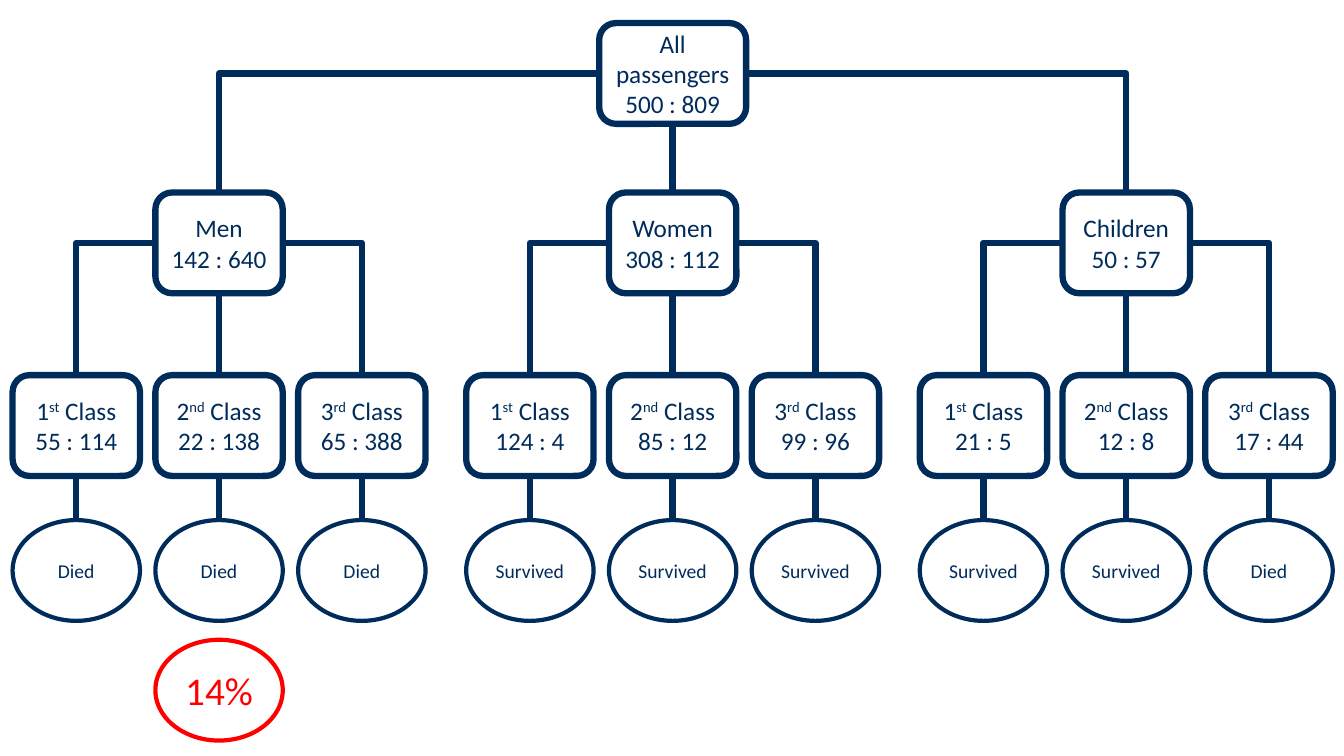
from lxml.etree import SubElement
from pptx import Presentation
from pptx.dml.color import RGBColor
from pptx.enum.shapes import MSO_CONNECTOR, MSO_SHAPE
from pptx.enum.text import MSO_ANCHOR, PP_ALIGN
from pptx.oxml.ns import qn
from pptx.util import Pt

NAVY, RED, WHITE = "002C5C", "FF0000", "FFFFFF"
TOP, LEFT, BOTTOM, RIGHT = range(4)  # connection sites

NODE_W, NODE_H, ROOT_W = 91, 72, 105
GROUP_X, GROUP_STEP, CLASS_STEP = 111, 324, 102
ROOT_Y, GROUP_Y, CLASS_Y, OUTCOME_Y, RATE_Y = 16.5, 137.5, 268, 371.5, 457

CLASSES = [("1", "st"), ("2", "nd"), ("3", "rd")]
GROUPS = [
    ("Men", "142 : 640",
     [("55 : 114", "Died"), ("22 : 138", "Died"), ("65 : 388", "Died")]),
    ("Women", "308 : 112",
     [("124 : 4", "Survived"), ("85 : 12", "Survived"), ("99 : 96", "Survived")]),
    ("Children", "50 : 57",
     [("21 : 5", "Survived"), ("12 : 8", "Survived"), ("17 : 44", "Died")]),
]


def rgb(color):
    return RGBColor.from_string(color)


def add_node(s, kind, x, y, lines, size=18, color=NAVY, weight=4.5, width=NODE_W):
    """Each line is a list of runs; every second run is superscript."""
    sp = s.shapes.add_shape(kind, Pt(x), Pt(y), Pt(width), Pt(NODE_H))
    sp.shadow.inherit = False
    sp.fill.solid()
    sp.fill.fore_color.rgb = rgb(WHITE)
    sp.line.color.rgb = rgb(color)
    sp.line.width = Pt(weight)
    tf = sp.text_frame
    tf.word_wrap = True
    tf.vertical_anchor = MSO_ANCHOR.MIDDLE
    for i, runs in enumerate(lines):
        p = tf.add_paragraph() if i else tf.paragraphs[0]
        p.alignment = PP_ALIGN.CENTER
        p.font.name = "Calibri"
        p.font.size = Pt(size)
        p.font.color.rgb = rgb(color)
        for j, text in enumerate(runs):
            r = p.add_run()
            r.text = text
            if j % 2:
                r._r.get_or_add_rPr().set("baseline", "30000")
    return sp


def add_box(s, x, y, lines, width=NODE_W):
    return add_node(s, MSO_SHAPE.ROUNDED_RECTANGLE, x, y, lines, width=width)


def add_oval(s, x, y, text, size=14, color=NAVY):
    return add_node(s, MSO_SHAPE.OVAL, x, y, [[text]], size, color, weight=3)


def link(s, parent, child, site=BOTTOM):
    """Straight down from the bottom, or one bend from a side."""
    straight = site == BOTTOM
    kind = MSO_CONNECTOR.STRAIGHT if straight else MSO_CONNECTOR.ELBOW
    c = s.shapes.add_connector(kind, 0, 0, 0, 0)
    c.begin_connect(parent, site)
    c.end_connect(child, TOP)
    c.line.color.rgb = rgb(NAVY)
    c.line.width = Pt(4.5)
    spPr = c._element.spPr
    if not straight:
        spPr.find(qn("a:prstGeom")).set("prst", "bentConnector2")
    SubElement(spPr, qn("a:effectLst"))


def main():
    prs = Presentation()
    prs.slide_width, prs.slide_height = Pt(960), Pt(540)
    s = prs.slides.add_slide(prs.slide_layouts[6])
    sites = (LEFT, BOTTOM, RIGHT)

    # Root, centred over the middle group
    root_x = GROUP_X + GROUP_STEP - (ROOT_W - NODE_W) / 2
    root = add_box(s, root_x, ROOT_Y, [["All passengers"], ["500 : 809"]], ROOT_W)

    # Groups, their classes and the outcomes
    for i, (name, ratio, classes) in enumerate(GROUPS):
        group_x = GROUP_X + i * GROUP_STEP
        group = add_box(s, group_x, GROUP_Y, [[name], [ratio]])
        link(s, root, group, sites[i])
        for j, (class_ratio, outcome) in enumerate(classes):
            x = group_x + (j - 1) * CLASS_STEP
            number, suffix = CLASSES[j]
            lines = [[number, suffix, " Class"], [class_ratio]]
            class_box = add_box(s, x, CLASS_Y, lines)
            link(s, group, class_box, sites[j])
            link(s, class_box, add_oval(s, x, OUTCOME_Y, outcome))

    # Survival rate of second-class men
    add_oval(s, GROUP_X, RATE_Y, "14%", 28, RED)

    prs.save("out.pptx")


if __name__ == "__main__":
    main()
